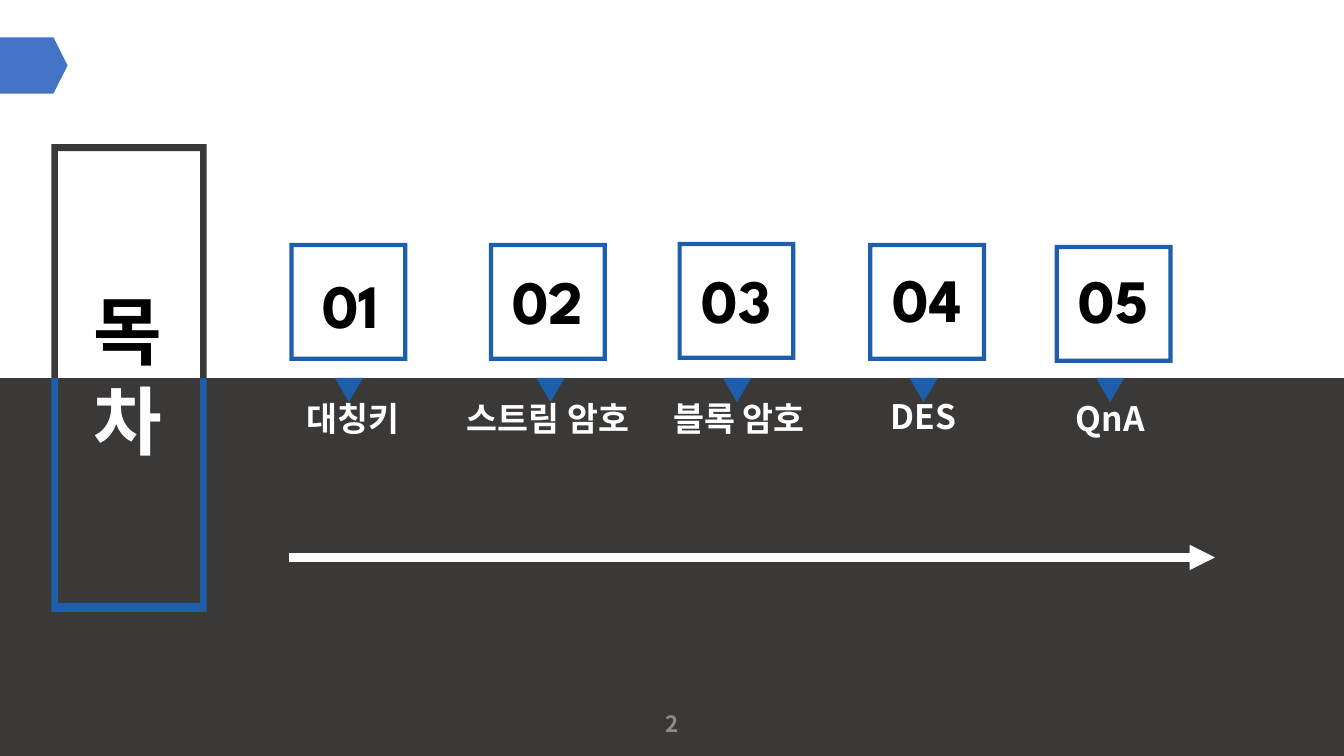
from lxml.etree import SubElement
from pptx import Presentation
from pptx.dml.color import RGBColor
from pptx.enum.shapes import MSO_CONNECTOR, MSO_SHAPE
from pptx.enum.text import MSO_ANCHOR, MSO_AUTO_SIZE, PP_ALIGN
from pptx.oxml.ns import qn
from pptx.util import Inches, Pt

COLS, ROWS = 13.33, 7.5
COLORS = {"tab": "4472C4", "dark": "3B3838", "blue": "1D5FAA",
          "white": "FFFFFF", "black": "000000", "gray": "8C8C8C"}
KOREAN, NUMERAL = "Noto Sans CJK KR", "League Spartan"
HORIZON = 3.75
BOX = 1.17


class Deck:
    def __init__(self, prs):
        self.prs = prs
        self.s = prs.slides.add_slide(prs.slide_layouts[6])

    def x(self, cols):
        return round(self.prs.slide_width * cols / COLS)

    def y(self, rows):
        return round(self.prs.slide_height * rows / ROWS)

    def place(self, left, top, width, height):
        return self.x(left), self.y(top), self.x(width), self.y(height)

    def rgb(self, color):
        return RGBColor.from_string(COLORS[color])

    def paint(self, sp, color):
        sp.shadow.inherit = False
        sp.fill.solid()
        sp.fill.fore_color.rgb = self.rgb(color)
        sp.line.fill.background()
        return sp

    def shape(self, kind, at, color):
        return self.paint(self.s.shapes.add_shape(kind, *self.place(*at)), color)

    def outline(self, points, color):
        start, *rest = [(self.x(px), self.y(py)) for px, py in points]
        builder = self.s.shapes.build_freeform(*start)
        builder.add_line_segments(rest, close=True)
        return self.paint(builder.convert_to_shape(), color)

    def text(self, at, lines, size, font=KOREAN, **frame):
        tf = self.s.shapes.add_textbox(*self.place(*at)).text_frame
        formats = {"word_wrap": True, "auto_size": MSO_AUTO_SIZE.NONE, **frame}
        for name, value in formats.items():
            setattr(tf, name, value)
        for i, (words, color) in enumerate(lines):
            p = tf.add_paragraph() if i else tf.paragraphs[0]
            p.alignment = PP_ALIGN.CENTER
            r = p.add_run()
            r.text = words
            for name, value in {"name": font, "size": Pt(size), "bold": True}.items():
                setattr(r.font, name, value)
            r.font.color.rgb = self.rgb(color)
            SubElement(r.font._element, qn("a:ea"), typeface=font)

    def arrow(self, left, right, row, color, width):
        c = self.s.shapes.add_connector(
            MSO_CONNECTOR.STRAIGHT, self.x(left), self.y(row), self.x(right), self.y(row))
        c.line.color.rgb = self.rgb(color)
        c.line.width = Pt(width)
        SubElement(c.line._get_or_add_ln(), qn("a:tailEnd"), type="triangle")
        SubElement(c._element.spPr, qn("a:effectLst"))

    def bracket(self, outer, inner, color):
        left, right, side = 0.51, 2.05, 0.065
        self.outline([(left, HORIZON), (left, outer), (right, outer), (right, HORIZON),
                      (right - side, HORIZON), (right - side, inner),
                      (left + side, inner), (left + side, HORIZON)], color)

    def chapter(self, number, title, box, label, pointer, digits):
        grow = {"auto_size": MSO_AUTO_SIZE.SHAPE_TO_FIT_TEXT}
        self.text((*label, 0.5), [(title, "white")], 24, **grow)
        sp = self.shape(MSO_SHAPE.FRAME, (*box, BOX, BOX), "blue")
        sp.adjustments[0] = 0.036
        sp = self.shape(MSO_SHAPE.ISOSCELES_TRIANGLE, (pointer, HORIZON, 0.28, 0.24), "blue")
        sp._element.spPr.xfrm.set("flipV", "1")
        self.text((*digits, BOX, 0.84), [(f"{number:02}", "black")], 44, NUMERAL, **grow)


def main():
    prs = Presentation()
    prs.slide_width, prs.slide_height = Inches(COLS), Inches(ROWS)
    d = Deck(prs)

    d.outline([(0, 0.37), (0.53, 0.37), (0.67, 0.65), (0.53, 0.93), (0, 0.93)], "tab")
    d.shape(MSO_SHAPE.RECTANGLE, (0, HORIZON, COLS, ROWS - HORIZON), "dark")
    d.bracket(6.07, 5.98, "blue")
    d.bracket(1.43, 1.5, "dark")
    d.text((0.79, 2.78, 0.95, 1.9), [("목", "black"), ("차", "white")], 53.3,
           word_wrap=False, auto_size=MSO_AUTO_SIZE.SHAPE_TO_FIT_TEXT)

    chapters = [
        ("대칭키", (2.87, 2.41), (2.35, 3.9, 2.3), 3.32, (2.89, 2.6)),
        ("스트림 암호", (4.85, 2.41), (4.16, 3.9, 2.55), 5.32, (4.85, 2.56)),
        ("블록 암호", (6.72, 2.4), (6.17, 3.9, 2.32), 7.17, (6.72, 2.55)),
        ("DES", (8.61, 2.41), (8.14, 3.88, 2.04), 9.02, (8.61, 2.54)),
        ("QnA", (10.46, 2.43), (9.99, 3.9, 2.04), 10.87, (10.46, 2.55)),
    ]
    for number, chapter in enumerate(chapters, 1):
        d.chapter(number, *chapter)

    d.arrow(2.87, 12.05, 5.53, "white", 6)
    d.text((5.17, 6.98, 3, 0.4), [("2", "gray")], 16, vertical_anchor=MSO_ANCHOR.MIDDLE)
    prs.save("out.pptx")


if __name__ == "__main__":
    main()
